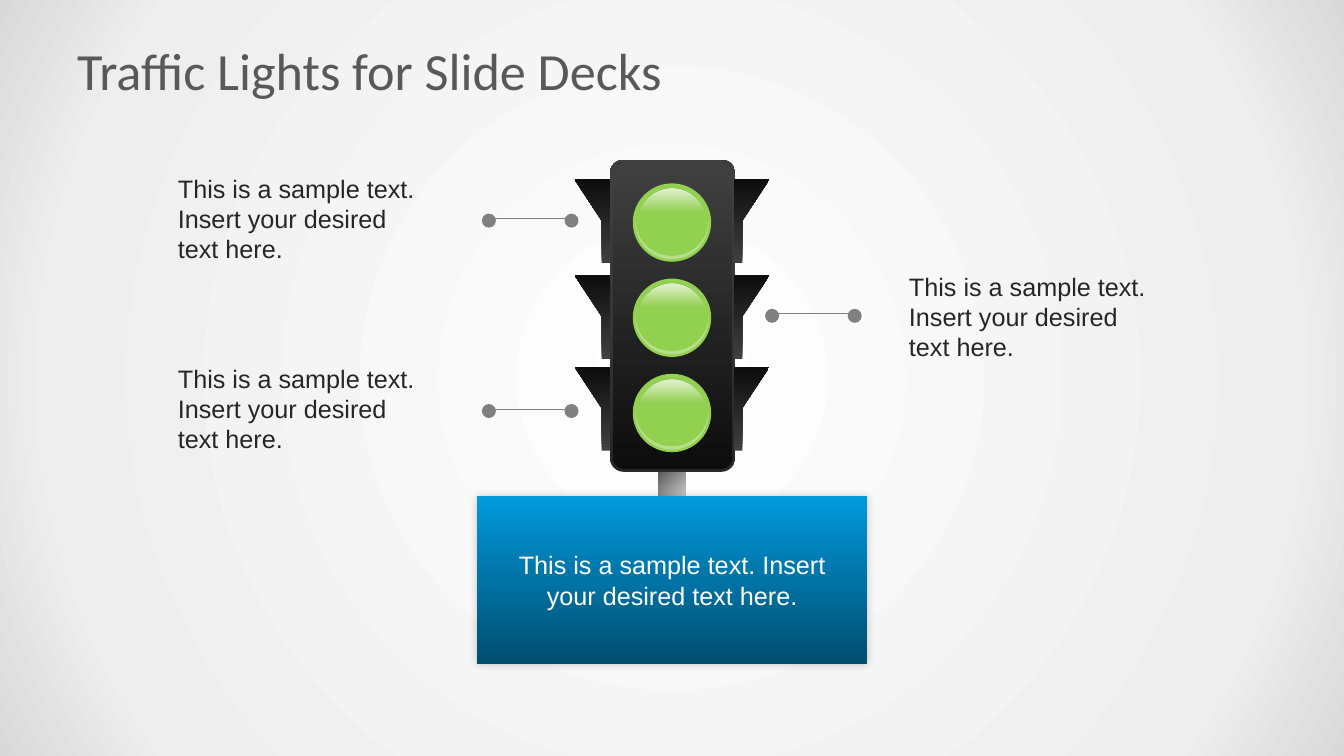
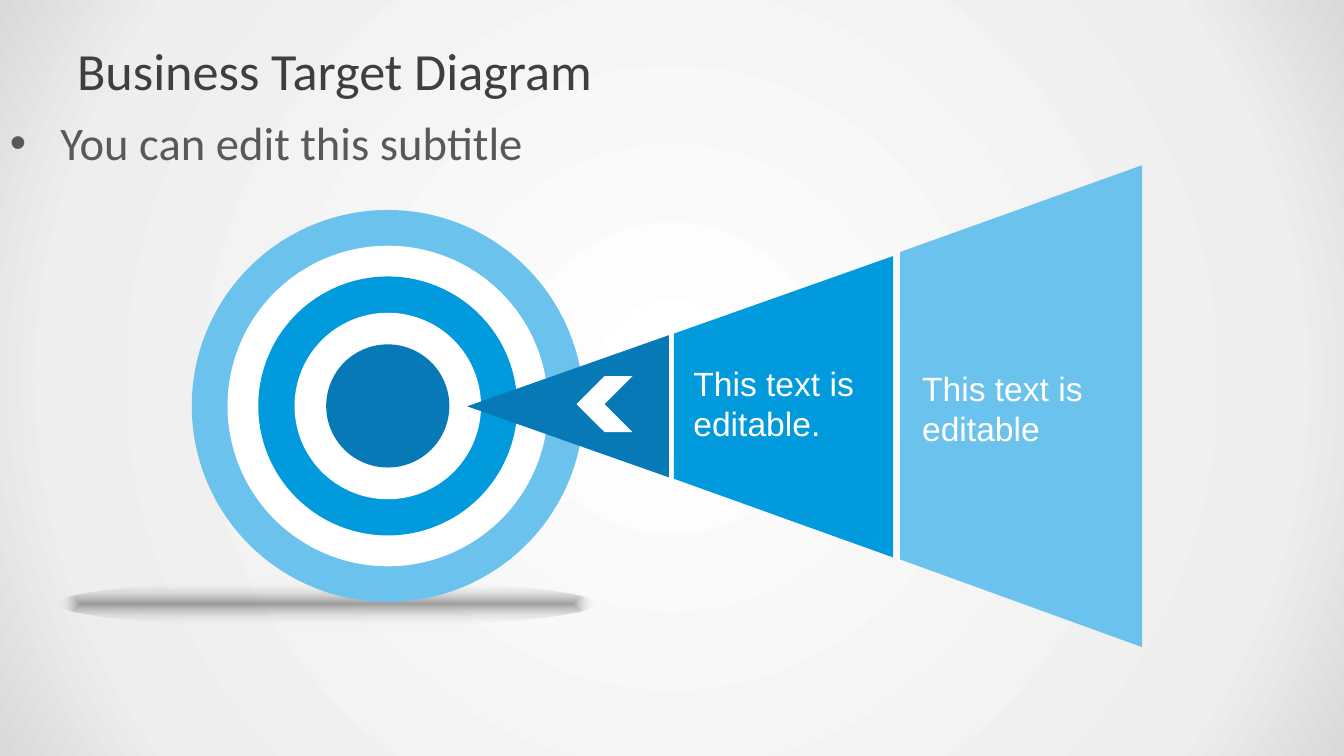
from dataclasses import dataclass
from math import cos, pi, sin
from typing import Iterable, Optional

from lxml.etree import SubElement
from pptx import Presentation
from pptx.dml.color import RGBColor
from pptx.enum.shapes import MSO_CONNECTOR, MSO_SHAPE
from pptx.enum.text import MSO_ANCHOR, PP_ALIGN
from pptx.oxml import parse_xml
from pptx.oxml.ns import nsdecls, qn
from pptx.util import Pt

HEX = {
    "white": "FFFFFF", "mist": "EEEEEE", "fog": "D9D9D9", "pearl": "F2F2F2",
    "slate": "595959", "coal": "3F3F3F", "ink": "262626", "grey": "808080",
    "black": "0D0D0D", "iron": "404040", "steel": "363636", "lime": "92D050",
    "navy": "004D6E", "sea": "0173A6", "blue": "019ADD", "sky": "6BC2ED",
    "deep": "0779B7",
}
WIDTH, HEIGHT = 960, 540
MID = WIDTH / 2
STEP = 68
SAMPLE = "This is a sample text. Insert your desired text here."


@dataclass(frozen=True)
class Box:
    left: float
    top: float
    width: float
    height: float


@dataclass(frozen=True)
class Stop:
    at: int
    tint: str
    alpha: int = 100


@dataclass(frozen=True)
class Blend:
    stops: tuple[Stop, ...]
    angle: int = 0
    form: str = ""


@dataclass(frozen=True)
class Style:
    size: float
    tint: str
    face: str = "Arial"
    align: Optional[PP_ALIGN] = None
    anchor: MSO_ANCHOR = MSO_ANCHOR.TOP
    side: float = 7.2


@dataclass(frozen=True)
class Note:
    left: float
    top: float
    link: float
    row: int


@dataclass(frozen=True)
class Ring:
    size: float
    tint: str


@dataclass(frozen=True)
class Wedge:
    points: tuple[tuple[float, float], ...]
    tint: str


@dataclass(frozen=True)
class Label:
    text: str
    box: Box


BACK = Blend((Stop(0, "white"), Stop(81, "mist"), Stop(100, "fog")), form="circle")
POLE = Blend((Stop(0, "slate"), Stop(50, "pearl"), Stop(100, "white")), 45)
RIM = Blend((Stop(0, "ink"), Stop(50, "steel"), Stop(100, "iron")), 270)
CASE = Blend((Stop(0, "black"), Stop(100, "iron")), 270)
VISOR = Blend((Stop(0, "iron"), Stop(100, "black")), 270)
GLOSS = Blend((Stop(0, "white", 75), Stop(34, "white", 0)), 90)
PANEL = Blend((Stop(0, "navy"), Stop(50, "sea"), Stop(100, "blue")), 270)
SHADE = Blend((Stop(0, "black", 38), Stop(100, "white", 0)), form="shape")

BODY = Style(18, "ink")
SIGN = Style(18, "white", align=PP_ALIGN.CENTER, anchor=MSO_ANCHOR.MIDDLE, side=14.4)
TAG = Style(24, "white", anchor=MSO_ANCHOR.MIDDLE)

NOTES = (
    Note(120, 120.2, 344.2, 0),
    Note(642.2, 190, 546.5, 1),
    Note(120, 255.6, 344.2, 2),
)
VISORS = (128.2, 196.6, 262.1)
RINGS = (
    Ring(280, "sky"), Ring(229, "white"), Ring(185, "blue"),
    Ring(133.2, "white"), Ring(88, "deep"),
)
WEDGES = (
    Wedge(((643, 180), (815.8, 118), (815.8, 462.2), (643, 399.6)), "sky"),
    Wedge(((481.4, 238.3), (638, 182.9), (638, 398.2), (481.4, 342)), "blue"),
)
LABELS = (
    Label("This text is editable.", Box(488.2, 254.9, 136, 65.5)),
    Label("This text is editable", Box(651.6, 258.5, 144, 65.5)),
)


def tone(name: str) -> RGBColor:
    return RGBColor.from_string(HEX[name])


def blend(fill, root, mix: Blend) -> None:
    fill.solid()
    fill.fore_color.rgb = tone("white")
    stops = "".join(
        f'<a:gs pos="{s.at * 1000}"><a:srgbClr val="{HEX[s.tint]}">'
        f'<a:alpha val="{s.alpha * 1000}"/></a:srgbClr></a:gs>'
        for s in mix.stops
    )
    if mix.form:
        rule = (f'<a:path path="{mix.form}"><a:fillToRect l="50000" t="50000" '
                'r="50000" b="50000"/></a:path>')
    else:
        rule = f'<a:lin ang="{mix.angle * 60000}" scaled="0"/>'
    old = next(root.iter(qn("a:solidFill")))
    old.getparent().replace(old, parse_xml(
        f'<a:gradFill {nsdecls("a")} rotWithShape="1"><a:gsLst>{stops}</a:gsLst>'
        f"{rule}</a:gradFill>"
    ))


def paint(shape, ink: "str | Blend", alpha: int = 100):
    shape.shadow.inherit = False
    shape.line.fill.background()
    if isinstance(ink, Blend):
        blend(shape.fill, shape._element, ink)
        return shape
    shape.fill.solid()
    shape.fill.fore_color.rgb = tone(ink)
    if alpha < 100:
        node = next(shape._element.iter(qn("a:srgbClr")))
        SubElement(node, qn("a:alpha"), val=str(alpha * 1000))
    return shape


def place(slide, kind: MSO_SHAPE, box: Box, ink: "str | Blend"):
    shape = slide.shapes.add_shape(
        kind, Pt(box.left), Pt(box.top), Pt(box.width), Pt(box.height))
    return paint(shape, ink)


def disc(slide, x: float, y: float, size: float, ink: "str | Blend") -> None:
    place(slide, MSO_SHAPE.OVAL, Box(x - size / 2, y - size / 2, size, size), ink)


def trace(slide, points: Iterable[tuple[float, float]], ink: "str | Blend",
          alpha: int = 100) -> None:
    first, *rest = [(Pt(x), Pt(y)) for x, y in points]
    pen = slide.shapes.build_freeform(*first, scale=1.0)
    pen.add_line_segments(rest, close=True)
    paint(pen.convert_to_shape(), ink, alpha)


def write(shape, text: str, style: Style, bullet: bool = False) -> None:
    frame = shape.text_frame
    frame.word_wrap = True
    frame.vertical_anchor = style.anchor
    frame.margin_left = frame.margin_right = Pt(style.side)
    frame.text = text
    para = frame.paragraphs[0]
    para.alignment = style.align
    if bullet:
        props = para._p.get_or_add_pPr()
        props.set("marL", str(Pt(36)))
        props.set("indent", str(Pt(-36)))
        SubElement(props, qn("a:buFont"), typeface="Arial")
        SubElement(props, qn("a:buChar"), char="•")
    for run in para.runs:
        run.font.size = Pt(style.size)
        run.font.name = style.face
        run.font.color.rgb = tone(style.tint)


def label(slide, text: str, box: Box, style: Style, bullet: bool = False) -> None:
    shape = slide.shapes.add_textbox(
        Pt(box.left), Pt(box.top), Pt(box.width), Pt(box.height))
    write(shape, text, style, bullet)


def start(deck, title: str, tint: str):
    slide = deck.slides.add_slide(deck.slide_layouts[6])
    label(slide, title, Box(48, 21.6, 864, 56.2),
          Style(37.3, tint, "Calibri", anchor=MSO_ANCHOR.MIDDLE))
    return slide


def visor(slide, top: float) -> None:
    edge = ((410.4, 0), (435.6, 0), (435.6, 59.8), (429.8, 59.8), (429.8, 29.5))
    trace(slide, [(x, top + y) for x, y in edge], VISOR)
    trace(slide, [(WIDTH - x, top + y) for x, y in edge], VISOR)


def lamp(slide, y: float) -> None:
    disc(slide, MID, y, 56, "lime")
    turns = [pi * i / 24 for i in range(25)]
    outer = [(MID + 26.2 * cos(t), y + 26.2 * sin(t)) for t in turns]
    inner = [(MID + 26 * cos(t), y - 1.4 + 25.2 * sin(t)) for t in reversed(turns)]
    trace(slide, outer + inner, "white", 33)
    disc(slide, MID, y + 0.6, 49.4, GLOSS)


def link(slide, left: float, y: float) -> None:
    line = slide.shapes.add_connector(
        MSO_CONNECTOR.STRAIGHT, Pt(left + 64), Pt(y - 1.4), Pt(left + 4.3), Pt(y - 1.4))
    line.line.color.rgb = tone("grey")
    line.line.width = Pt(0.75)
    SubElement(line._element.spPr, qn("a:effectLst"))
    for x in (left + 64, left + 5):
        disc(slide, x, y, 10, "grey")


def glow(shape) -> None:
    node = shape._element.spPr.find(qn("a:effectLst"))
    node.append(parse_xml(
        f'<a:outerShdw {nsdecls("a")} blurRad="{Pt(6)}" dist="0" dir="18900000">'
        '<a:srgbClr val="000000"><a:alpha val="20000"/></a:srgbClr></a:outerShdw>'
    ))


def lights(deck) -> None:
    slide = start(deck, "Traffic Lights for Slide Decks", "slate")
    place(slide, MSO_SHAPE.RECTANGLE, Box(470.2, 337, 19.4, 80.6), POLE)
    rim = place(slide, MSO_SHAPE.ROUNDED_RECTANGLE, Box(435.6, 114, 89.6, 223), RIM)
    rim.adjustments[0] = 0.11
    case = place(slide, MSO_SHAPE.ROUNDED_RECTANGLE, Box(437.6, 116, 85.6, 219), CASE)
    case.adjustments[0] = 0.1
    for top in VISORS:
        visor(slide, top)
    for row in range(3):
        lamp(slide, 159 + STEP * row)
    for note in NOTES:
        label(slide, SAMPLE, Box(note.left, note.top, 192, 72.7), BODY)
        link(slide, note.link, 157.6 + STEP * note.row)
    panel = place(slide, MSO_SHAPE.RECTANGLE, Box(340.6, 354.2, 279, 120), PANEL)
    glow(panel)
    write(panel, SAMPLE, SIGN)


def target(deck) -> None:
    slide = start(deck, "Business Target Diagram", "coal")
    place(slide, MSO_SHAPE.OVAL, Box(41, 414.7, 384.5, 33), SHADE)
    label(slide, "You can edit this subtitle", Box(0, 77.8, 864, 40.3),
          Style(33.3, "slate", "Calibri"), bullet=True)
    for ring in RINGS:
        disc(slide, 277, 290, ring.size, ring.tint)
    for wedge in WEDGES:
        trace(slide, wedge.points, wedge.tint)
    tip = place(slide, MSO_SHAPE.ISOSCELES_TRIANGLE, Box(355, 218.2, 101.5, 144), "deep")
    tip.rotation = 270
    arrow = place(slide, MSO_SHAPE.CHEVRON, Box(411.8, 268.6, 40, 40), "white")
    arrow.rotation = 180
    for item in LABELS:
        label(slide, item.text, item.box, TAG)


def main() -> None:
    deck = Presentation()
    deck.slide_width, deck.slide_height = Pt(WIDTH), Pt(HEIGHT)
    master = deck.slide_master
    blend(master.background.fill, master._element, BACK)
    lights(deck)
    target(deck)
    deck.save("out.pptx")


if __name__ == "__main__":
    main()
